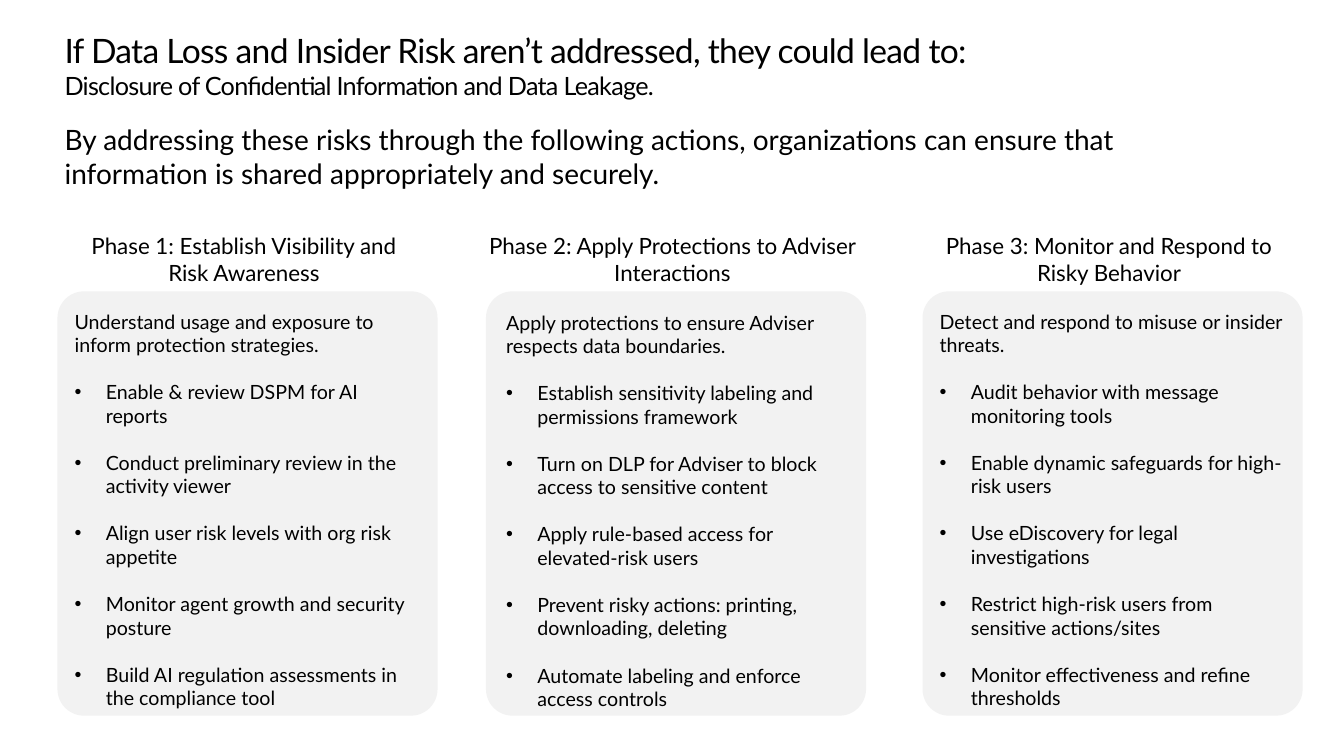
from pptx import Presentation
from pptx.dml.color import RGBColor
from pptx.enum.shapes import MSO_SHAPE as SHAPE
from pptx.enum.text import MSO_ANCHOR as ANCHOR, PP_ALIGN as ALIGN
from pptx.oxml.ns import qn
from pptx.util import Inches, Pt
from lxml.etree import SubElement

COLORS = {"text": "000000", "card": "F2F2F2"}
FONT = "Lato"
LIST_SIZE = 14
ITEM_GAP = LIST_SIZE * 1.2  # one line between items
INDENT = 0.31

# Rows and columns of the slide, in inches
MARGIN = 0.64
HEAD_TOP, HEAD_W, HEAD_H = 2.3, 3.7, 0.54
CARD_TOP, CARD_W, CARD_H = 2.89, 3.77, 4.21
LIST_W, LIST_H = 3.43, 4.01

TITLE = "If Data Loss and Insider Risk aren’t addressed, they could lead to:"
SUBTITLE = "Disclosure of Confidential Information and Data Leakage."
STATEMENT = ("By addressing these risks through the following actions, organizations "
             "can ensure that information is shared appropriately and securely.")

# Card left, list left, list top, heading, aim, actions
PHASES = [
    (0.57, 0.74, 3.07,
     ["Phase 1: Establish Visibility and", "Risk Awareness"],
     "Understand usage and exposure to inform protection strategies.",
     ["Enable & review DSPM for AI reports",
      "Conduct preliminary review in the activity viewer",
      "Align user risk levels with org risk appetite",
      "Monitor agent growth and security posture",
      "Build AI regulation assessments in the compliance tool"]),
    (4.82, 5.02, 3.08,
     ["Phase 2: Apply Protections to Adviser Interactions"],
     "Apply protections to ensure Adviser respects data boundaries.",
     ["Establish sensitivity labeling and permissions framework",
      "Turn on DLP for Adviser to block access to sensitive content",
      "Apply rule-based access for elevated-risk users",
      "Prevent risky actions: printing, downloading, deleting",
      "Automate labeling and enforce access controls"]),
    (9.15, 9.32, 3.07,
     ["Phase 3: Monitor and Respond to", "Risky Behavior"],
     "Detect and respond to misuse or insider threats.",
     ["Audit behavior with message monitoring tools",
      "Enable dynamic safeguards for high-risk users",
      "Use eDiscovery for legal investigations",
      "Restrict high-risk users from sensitive actions/sites",
      "Monitor effectiveness and refine thresholds"]),
]


def rgb(name):
    return RGBColor.from_string(COLORS[name])


def prepare_frame(tf):
    tf.word_wrap = True
    tf.vertical_anchor = ANCHOR.TOP
    tf.margin_left = tf.margin_top = tf.margin_right = tf.margin_bottom = 0
    return tf


def add_box(slide, x, y, w, h):
    box = slide.shapes.add_textbox(Inches(x), Inches(y), Inches(w), Inches(h))
    return prepare_frame(box.text_frame)


def add_bullet(p):
    pPr = p._p.get_or_add_pPr()
    pPr.set("marL", str(Inches(INDENT)))
    pPr.set("indent", str(-Inches(INDENT)))
    SubElement(pPr, qn("a:buFont")).set("typeface", "Arial")
    SubElement(pPr, qn("a:buChar")).set("char", "•")


def add_run(p, text, size, spacing=None):
    r = p.add_run()
    r.text = text
    r.font.name = FONT
    r.font.size = Pt(size)
    r.font.color.rgb = rgb("text")
    if spacing is not None:
        r._r.get_or_add_rPr().set("spc", str(round(spacing * 100)))


def add_text(tf, text, size=LIST_SIZE, align=ALIGN.LEFT, after=0, bullet=False):
    first = tf.paragraphs[0]
    p = tf.add_paragraph() if first.runs else first
    p.alignment = align
    p.space_after = Pt(after)
    if bullet:
        add_bullet(p)
    add_run(p, text, size)


def add_title(slide):
    title = slide.shapes.title
    title.left, title.top = Inches(MARGIN), Inches(0.3)
    title.width, title.height = Inches(12.05), Inches(0.8)
    p = prepare_frame(title.text_frame).paragraphs[0]
    p.alignment = ALIGN.LEFT
    p.line_spacing = 1.0
    add_run(p, TITLE, 24, spacing=-0.5)
    p.add_line_break()
    add_run(p, SUBTITLE, 18, spacing=-0.5)


def add_card(slide, x):
    sp = slide.shapes.add_shape(SHAPE.ROUNDED_RECTANGLE, Inches(x), Inches(CARD_TOP),
                                Inches(CARD_W), Inches(CARD_H))
    sp.adjustments[0] = 0.07
    sp.shadow.inherit = False
    sp.fill.solid()
    sp.fill.fore_color.rgb = rgb("card")
    fill_color = sp._element.spPr.find(qn("a:solidFill")).find(qn("a:srgbClr"))
    SubElement(fill_color, qn("a:alpha")).set("val", "97000")
    sp.line.fill.background()


def add_phase(slide, card_x, list_x, list_y, heading, aim, actions):
    add_card(slide, card_x)

    # Aim and bulleted actions
    tf = add_box(slide, list_x, list_y, LIST_W, LIST_H)
    add_text(tf, aim, after=ITEM_GAP)
    for action in actions:
        gap = 0 if action == actions[-1] else ITEM_GAP
        add_text(tf, action, after=gap, bullet=True)

    # Heading above the card
    tf = add_box(slide, card_x, HEAD_TOP, HEAD_W, HEAD_H)
    for line in heading:
        add_text(tf, line, size=16, align=ALIGN.CENTER)


def main():
    prs = Presentation()
    prs.slide_width, prs.slide_height = Inches(13.33), Inches(7.5)
    slide = prs.slides.add_slide(prs.slide_layouts.get_by_name("Title Only"))

    add_title(slide)
    for phase in PHASES:
        add_phase(slide, *phase)
    add_text(add_box(slide, MARGIN, 1.22, 11.02, 0.67), STATEMENT, size=20)

    prs.save("out.pptx")


if __name__ == "__main__":
    main()
